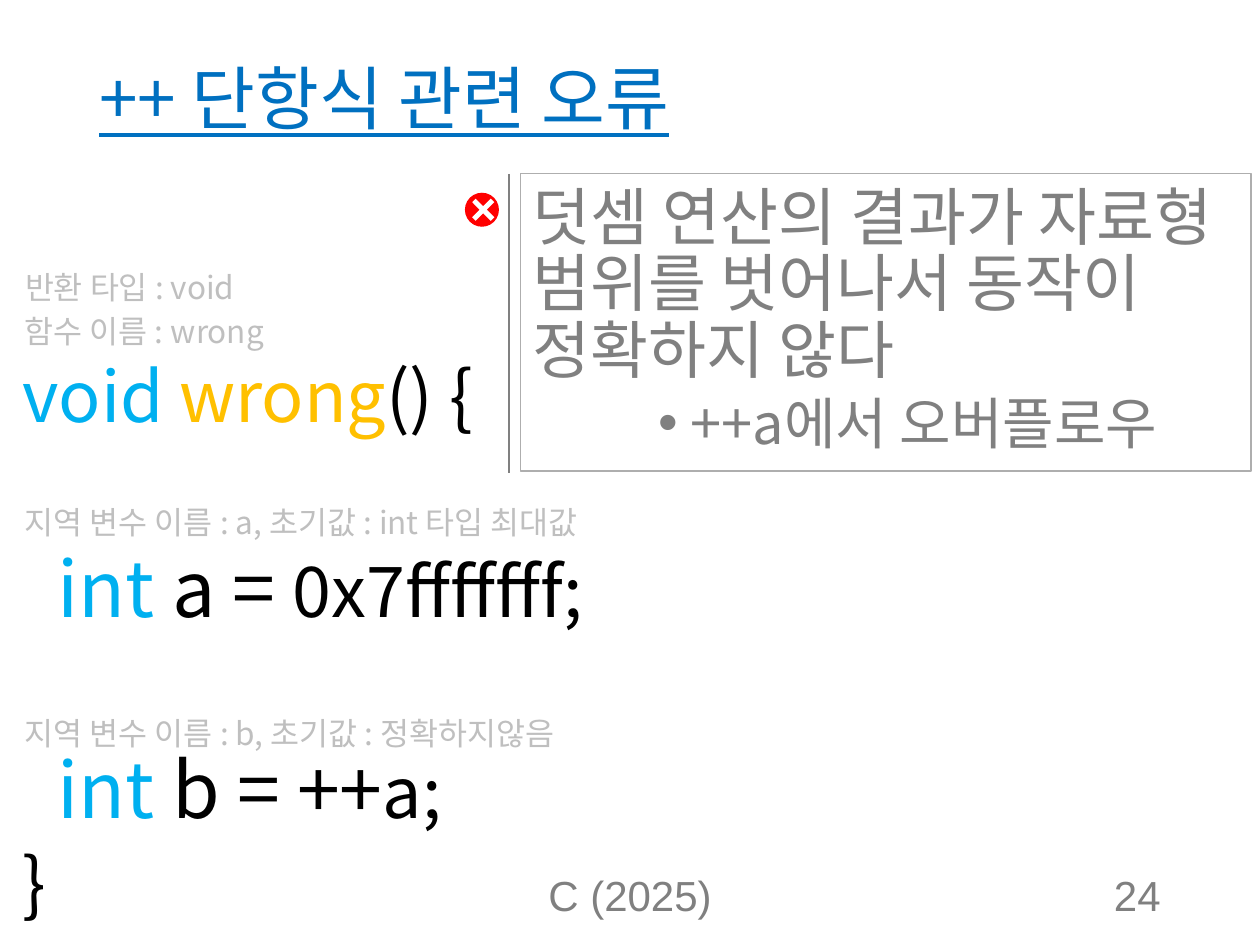
from lxml import etree
from pptx import Presentation
from pptx.dml.color import RGBColor
from pptx.enum.shapes import MSO_CONNECTOR, MSO_SHAPE
from pptx.enum.text import MSO_ANCHOR, PP_ALIGN
from pptx.oxml.ns import qn
from pptx.util import Inches, Pt

STRAIGHT = MSO_CONNECTOR.STRAIGHT
RECTANGLE, OVAL, CROSS = MSO_SHAPE.RECTANGLE, MSO_SHAPE.OVAL, MSO_SHAPE.CROSS
TOP, MIDDLE, BOTTOM = MSO_ANCHOR.TOP, MSO_ANCHOR.MIDDLE, MSO_ANCHOR.BOTTOM
LEFT, CENTER, RIGHT = PP_ALIGN.LEFT, PP_ALIGN.CENTER, PP_ALIGN.RIGHT

KOREAN, LATIN = "Noto Sans CJK KR", "Arial"
BLUE, TYPE_BLUE, NAME_GOLD = "0070C0", "00B0F0", "FFC000"
BLACK, GRAY, PALE_GRAY, BORDER_GRAY = "000000", "808080", "BFBFBF", "AEAEAE"
RED, WHITE = "FF0000", "FFFFFF"

LABELS = [
    (2.06, 2.02, "반환 타입 : void"),
    (2.41, 2.26, "함수 이름 : wrong"),
    (3.92, 5.14, "지역 변수 이름 : a, 초기값 : int 타입 최대값"),
    (5.6, 4.93, "지역 변수 이름 : b, 초기값 : 정확하지않음"),
]
CODE_LINES = [
    (0, 0, 45, [("void ", 40, TYPE_BLUE), ("wrong", 40, NAME_GOLD), ("() {", 40, BLACK)]),
    (0.28, 64, 48, [("int ", 44, TYPE_BLUE), ("a = ", 44, BLACK), ("0x7fffffff;", 40, BLACK)]),
    (0.28, 67, 48, [("int ", 44, TYPE_BLUE), ("b = ++", 44, BLACK), ("a;", 40, BLACK)]),
    (0, 6, 45, [("}", 40, BLACK)]),
]


def color(value):
    """Turn a hex string into a colour."""
    return RGBColor.from_string(value)


def set_all(target, **values):
    """Set each named attribute on the target."""
    for name, value in values.items():
        setattr(target, name, value)


def add_run(paragraph, text, size, hue, font=KOREAN, underline=None):
    """Append a formatted run, with the font also for Korean letters."""
    run = paragraph.add_run()
    run.text = text
    set_all(run.font, size=Pt(size), name=font, underline=underline)
    run.font.color.rgb = color(hue)
    etree.SubElement(run.font._element, qn("a:ea"), typeface=font)


def add_text(slide, area, anchor=TOP, wrap=True):
    """Add an empty text box and return its frame."""
    frame = slide.shapes.add_textbox(*map(Inches, area)).text_frame
    set_all(frame, word_wrap=wrap, vertical_anchor=anchor)
    return frame


def add_line_of_text(slide, area, text, size, hue, anchor=TOP, wrap=True,
                     align=LEFT, spacing=None, **style):
    """Add a text box that holds a single line."""
    paragraph = add_text(slide, area, anchor, wrap).paragraphs[0]
    set_all(paragraph, alignment=align, line_spacing=spacing)
    add_run(paragraph, text, size, hue, **style)


def add_code(slide):
    """Add the code listing with one paragraph for each line."""
    frame = add_text(slide, (0.08, 2.79, 6.61, 4.56))
    for index, (indent, before, spacing, parts) in enumerate(CODE_LINES):
        paragraph = frame.add_paragraph() if index else frame.paragraphs[0]
        set_all(paragraph, space_before=Pt(before), line_spacing=Pt(spacing))
        paragraph._p.get_or_add_pPr().set("marL", str(Inches(indent)))
        for part in parts:
            add_run(paragraph, *part)


def add_explanation(slide):
    """Add the bordered explanation with its bullet and side rule."""
    panel = slide.shapes.add_shape(RECTANGLE, *map(Inches, (4.13, 1.38, 5.8, 2.36)))
    panel.shadow.inherit = False
    panel.fill.background()
    panel.line.color.rgb = color(BORDER_GRAY)
    panel.line.width = Pt(0.75)
    frame = panel.text_frame
    set_all(frame, word_wrap=True, vertical_anchor=TOP, margin_top=Inches(0.1))
    reason = frame.paragraphs[0]
    set_all(reason, alignment=LEFT, line_spacing=Pt(38))
    add_run(reason, "덧셈 연산의 결과가 자료형 범위를 벗어나서 동작이 정확하지 않다", 36, GRAY)
    example = frame.add_paragraph()
    set_all(example, alignment=LEFT, line_spacing=Pt(35), space_before=Pt(5), level=2)
    add_run(example, "++a에서 오버플로우", 32, GRAY)
    properties = example._p.get_or_add_pPr()
    properties.set("marL", str(Inches(1.25)))
    properties.set("indent", str(Inches(-0.25)))
    etree.SubElement(properties, qn("a:buFont"), typeface=LATIN)
    etree.SubElement(properties, qn("a:buChar"), char="•")

    rule = slide.shapes.add_connector(STRAIGHT, *map(Inches, (4.04, 1.38, 4.04, 3.75)))
    rule.line.color.rgb = color(GRAY)
    rule.line.width = Pt(1.5)
    etree.SubElement(rule._element.spPr, qn("a:effectLst"))


def add_icon_part(group, kind, area, hue):
    """Add a borderless filled shape to the icon."""
    part = group.shapes.add_shape(kind, *map(Inches, area))
    part.shadow.inherit = False
    part.fill.solid()
    part.fill.fore_color.rgb = color(hue)
    part.line.fill.background()
    return part


def add_error_icon(slide):
    """Add the red disc with a white cross."""
    group = slide.shapes.add_group_shape()
    add_icon_part(group, OVAL, (3.69, 1.53, 0.27, 0.27), RED)
    cross = add_icon_part(group, CROSS, (3.73, 1.56, 0.21, 0.21), WHITE)
    cross.rotation = 45
    cross.adjustments[0] = 0.406


def main():
    """Build the slide and save it."""
    presentation = Presentation()
    set_all(presentation, slide_width=Inches(10), slide_height=Inches(7.5))
    slide = presentation.slides.add_slide(presentation.slide_layouts[6])
    add_line_of_text(slide, (0.69, 0.4, 8.62, 0.74), "++ 단항식 관련 오류", 39.6, BLUE,
                     anchor=MIDDLE, spacing=Pt(47), underline=True)
    add_line_of_text(slide, (3.31, 6.95, 3.38, 0.4), "C (2025)", 24, GRAY,
                     anchor=BOTTOM, align=CENTER, font=LATIN)
    add_line_of_text(slide, (7.06, 6.95, 2.25, 0.4), "24", 24, GRAY,
                     anchor=BOTTOM, align=RIGHT, font=LATIN)
    add_explanation(slide)
    add_code(slide)
    for top, width, text in LABELS:
        add_line_of_text(slide, (0.1, top, width, 0.4), text, 18, PALE_GRAY,
                         wrap=False, spacing=Pt(23))
    add_error_icon(slide)
    presentation.save("out.pptx")


if __name__ == "__main__":
    main()
